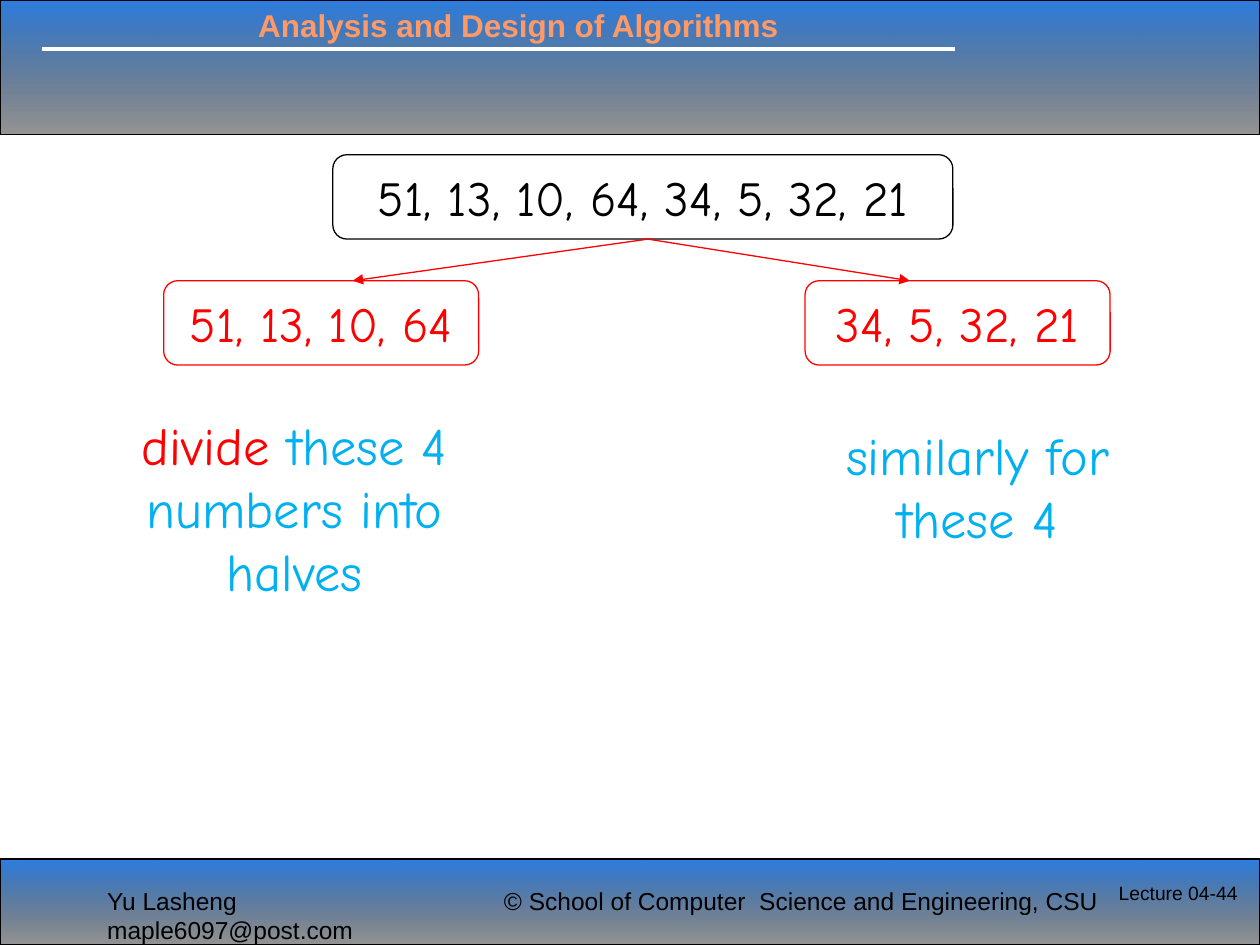
from lxml.etree import SubElement
from pptx import Presentation
from pptx.dml.color import RGBColor
from pptx.enum.shapes import MSO_CONNECTOR, MSO_SHAPE
from pptx.enum.text import MSO_ANCHOR, MSO_AUTO_SIZE, PP_ALIGN
from pptx.oxml.ns import qn
from pptx.util import Cm, Pt

COLOURS = {
    "white": "FFFFFF",
    "black": "000000",
    "red": "FF0000",
    "sky": "00B0F0",
    "blue": "0E6BDC",
    "orange": "FF9966",
}
BODY_FONT = "Comic Neue"
FOOTER_FONT = "Arial"
WIDTH, HEIGHT = 25.4, 19.05


def colour(name):
    return RGBColor.from_string(COLOURS[name])


def lengths(*values):
    return [Cm(value) for value in values]


class LectureSlide:
    def __init__(self, slide):
        self.slide = slide
        self.shapes = slide.shapes

    def outline(self, line, name, width=0.75):
        line.color.rgb = colour(name)
        line.width = Pt(width)

    def fill_text(self, frame, runs, font, size, align=PP_ALIGN.LEFT, bold=False):
        paragraph = frame.paragraphs[0]
        paragraph.alignment = align
        paragraph.font.name = font
        paragraph.font.size = Pt(size)
        paragraph.font.bold = bold
        for words, name in runs:
            run = paragraph.add_run()
            run.text = words
            run.font.color.rgb = colour(name)

    def band(self, top, height):
        band = self.shapes.add_shape(MSO_SHAPE.RECTANGLE, *lengths(0, top, WIDTH, height))
        band.shadow.inherit = False
        band.fill.gradient()
        band.fill.gradient_angle = 270
        for stop, name in zip(band.fill.gradient_stops, ("blue", "black")):
            stop.color.rgb = colour(name)
        for tint, opacity in zip(band.element.iter(qn("a:srgbClr")), (88, 41)):
            SubElement(tint, qn("a:alpha")).set("val", str(opacity * 1000))
        self.outline(band.line, "black")

    def title(self, words, *place):
        title = self.shapes.title
        title.left, title.top, title.width, title.height = lengths(*place)
        frame = title.text_frame
        frame.auto_size = MSO_AUTO_SIZE.NONE
        frame.vertical_anchor = MSO_ANCHOR.TOP
        self.fill_text(frame, [(words, "orange")], "Arial", 18, bold=True)
        self.shapes.element.append(title.element)

    def text(self, runs, place, font, size, align=PP_ALIGN.LEFT, wrap=True):
        frame = self.shapes.add_textbox(*lengths(*place)).text_frame
        frame.word_wrap = wrap
        self.fill_text(frame, runs, font, size, align)

    def number_box(self, numbers, name, *place):
        box = self.shapes.add_shape(MSO_SHAPE.ROUNDED_RECTANGLE, *lengths(*place))
        box.shadow.inherit = False
        box.fill.solid()
        box.fill.fore_color.rgb = colour("white")
        self.outline(box.line, name)
        frame = box.text_frame
        frame.word_wrap = False
        frame.vertical_anchor = MSO_ANCHOR.MIDDLE
        self.fill_text(frame, [(numbers, name)], BODY_FONT, 28, PP_ALIGN.CENTER)

    def line(self, start, end, name, width=0.75, arrow=False):
        line = self.shapes.add_connector(MSO_CONNECTOR.STRAIGHT, *lengths(*start, *end))
        self.outline(line.line, name, width)
        properties = line.element.spPr
        if arrow:
            SubElement(properties.find(qn("a:ln")), qn("a:tailEnd")).set("type", "triangle")
        SubElement(properties, qn("a:effectLst"))


def main():
    deck = Presentation()
    deck.slide_width, deck.slide_height = lengths(WIDTH, HEIGHT)
    page = LectureSlide(deck.slides.add_slide(deck.slide_layouts[5]))

    page.band(0, 2.72)
    page.band(17.32, 1.73)
    page.line((0.84, 0.99), (19.25, 0.99), "white", 2.25)
    page.title("Analysis and Design of Algorithms", 4.95, 0, 12.7, 1.02)

    for words, place, size in (
        ("Yu Lasheng  maple6097@post.com", (1.91, 17.73, 8.15, 0.86), 14),
        ("© School of Computer  Science and Engineering, CSU", (9.91, 17.73, 13, 0.86), 14),
        ("Lecture 04-44", (22.3, 17.65, 3.1, 1.27), 11),
    ):
        page.text([(words, "black")], place, FOOTER_FONT, size, wrap=False)

    page.number_box("51, 13, 10, 64, 34, 5, 32, 21", "black", 6.71, 3.12, 12.5, 1.7)
    for half, left, width, arrow_end in (
        ("51, 13, 10, 64", 3.3, 6.35, 7.11),
        ("34, 5, 32, 21", 16.23, 6.15, 18.34),
    ):
        page.number_box(half, "red", left, 5.66, width, 1.7)
        page.line((13.06, 4.82), (arrow_end, 5.66), "red", arrow=True)

    for runs, place in (
        ([("divide ", "red"), ("these 4 numbers into halves", "sky")], (2.03, 8.2, 7.82, 4.11)),
        ([("similarly for these 4", "sky")], (15.8, 8.41, 7.82, 2.82)),
    ):
        page.text(runs, place, BODY_FONT, 30, PP_ALIGN.CENTER)

    deck.save("out.pptx")


if __name__ == "__main__":
    main()
